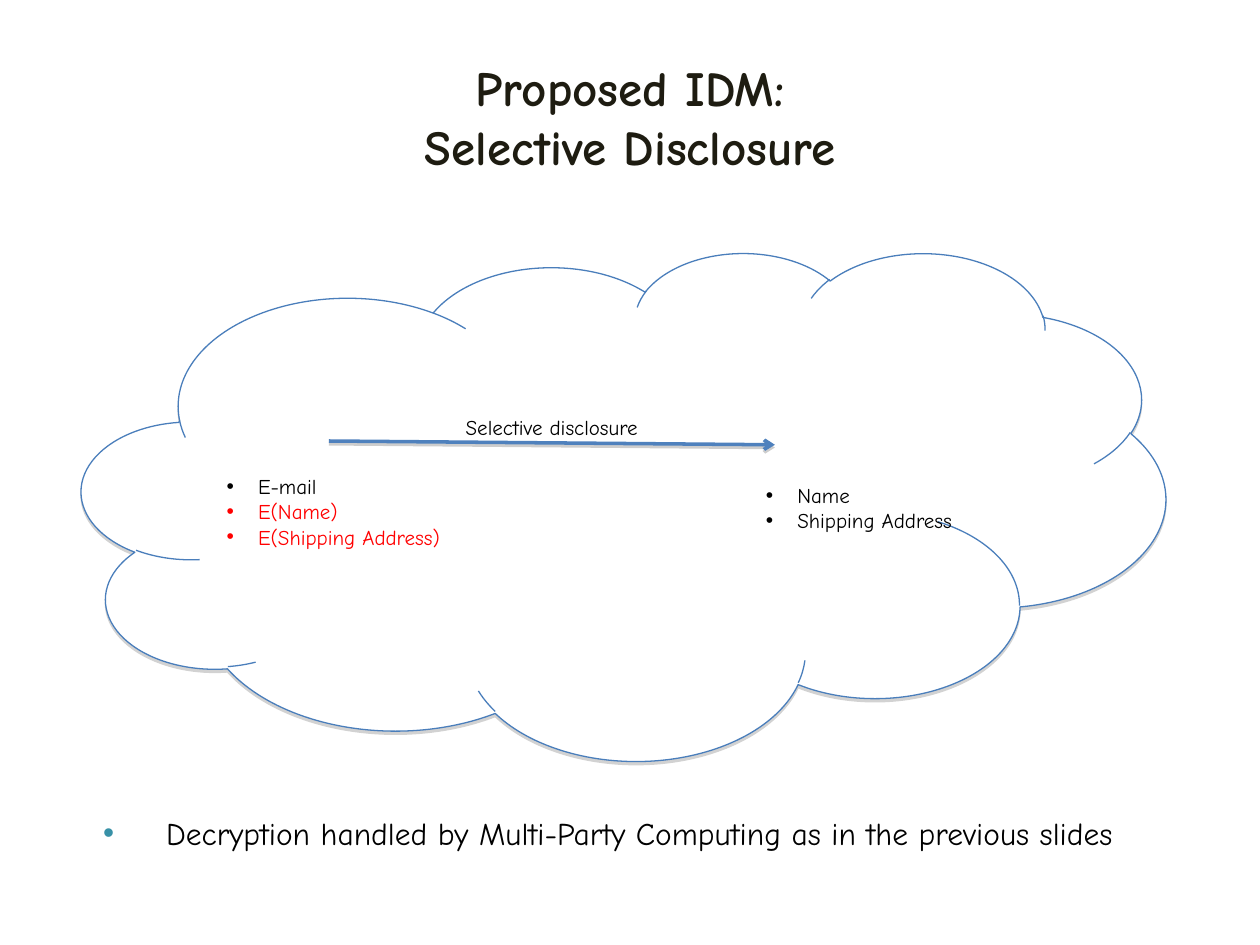
from dataclasses import dataclass

from lxml.etree import SubElement
from pptx import Presentation
from pptx.dml.color import RGBColor
from pptx.enum.shapes import MSO_CONNECTOR, MSO_SHAPE
from pptx.enum.text import MSO_ANCHOR, PP_ALIGN
from pptx.oxml.ns import qn
from pptx.util import Inches, Pt


@dataclass(frozen=True)
class Theme:
    font: str = "Comic Neue"
    title_size: int = 28
    body_size: int = 18
    label_size: int = 12
    title: str = "1E1C11"
    text: str = "000000"
    encrypted: str = "FF0000"
    bullet: str = "3891A7"
    cloud_fill: str = "FFFFFF"
    cloud_line: str = "4A7EBB"
    arrow: str = "4F81BD"
    shadow: str = "808080"


theme = Theme()
deck = Presentation()
deck.slide_width, deck.slide_height = Inches(10), Inches(7.5)
page = deck.slides.add_slide(deck.slide_layouts[6])


def add_text(text, *, at, size=theme.label_size, colors=(theme.text,), bold=False,
             align=PP_ALIGN.LEFT, anchor=MSO_ANCHOR.TOP, indent=None,
             bullet_color=None, level=0):
    frame = page.shapes.add_textbox(*map(Inches, at)).text_frame
    frame.word_wrap = True
    frame.vertical_anchor = anchor
    for index, line in enumerate(text.split("\n")):
        para = frame.add_paragraph() if index else frame.paragraphs[0]
        para.text = line
        para.alignment = align
        para.level = level
        if indent:
            margin, hanging = indent
            props = para._p.get_or_add_pPr()
            props.set("marL", str(Inches(margin)))
            props.set("indent", str(-Inches(hanging)))
            if bullet_color:
                SubElement(SubElement(props, qn("a:buClr")), qn("a:srgbClr"), val=bullet_color)
            SubElement(props, qn("a:buFont"), typeface="Arial")
            SubElement(props, qn("a:buChar"), char="•")
        for span in para.runs:
            span.font.name = theme.font
            span.font.size = Pt(size)
            span.font.bold = bold
            span.font.color.rgb = RGBColor.from_string(colors[min(index, len(colors) - 1)])


def add_shadow(shape, distance, opacity):
    effects = SubElement(shape._element.spPr, qn("a:effectLst"))
    shadow = SubElement(effects, qn("a:outerShdw"), blurRad="0", dist=str(Pt(distance)),
                        dir="5400000", rotWithShape="0")
    color = SubElement(shadow, qn("a:srgbClr"), val=theme.shadow)
    SubElement(color, qn("a:alpha"), val=str(opacity * 1000))


cloud = page.shapes.add_shape(MSO_SHAPE.CLOUD, Inches(0.65), Inches(2), Inches(8.6), Inches(4.03))
cloud.fill.solid()
cloud.fill.fore_color.rgb = RGBColor.from_string(theme.cloud_fill)
cloud.line.color.rgb = RGBColor.from_string(theme.cloud_line)
cloud.line.width = Pt(0.75)
add_shadow(cloud, 1.8, 35)

add_text("Proposed IDM:\vSelective Disclosure", at=(0.5, 0.3, 9, 1.25), size=theme.title_size,
         colors=(theme.title,), bold=True, align=PP_ALIGN.CENTER, anchor=MSO_ANCHOR.MIDDLE)

add_text("E-mail\nE(Name)\nE(Shipping Address)", at=(1.7, 3.71, 2.11, 0.71),
         colors=(theme.text, theme.encrypted), indent=(0.25, 0.25))

arrow = page.shapes.add_connector(MSO_CONNECTOR.STRAIGHT, Inches(2.61), Inches(3.5),
                                  Inches(6.15), Inches(3.53))
arrow.line.color.rgb = RGBColor.from_string(theme.arrow)
arrow.line.width = Pt(2)
SubElement(arrow.line._get_or_add_ln(), qn("a:tailEnd"), type="arrow")
add_shadow(arrow, 1.6, 38)

add_text("Selective disclosure", at=(3.4, 3.24, 1.96, 0.3), align=PP_ALIGN.CENTER)
add_text("Name\nShipping Address", at=(5.98, 3.78, 2, 0.51), indent=(0.25, 0.25))
add_text("Decryption handled by Multi-Party Computing as in the previous slides",
         at=(0.42, 6.41, 9.25, 0.71), size=theme.body_size, indent=(0.8, 0.5),
         bullet_color=theme.bullet, level=1)

deck.save("out.pptx")
